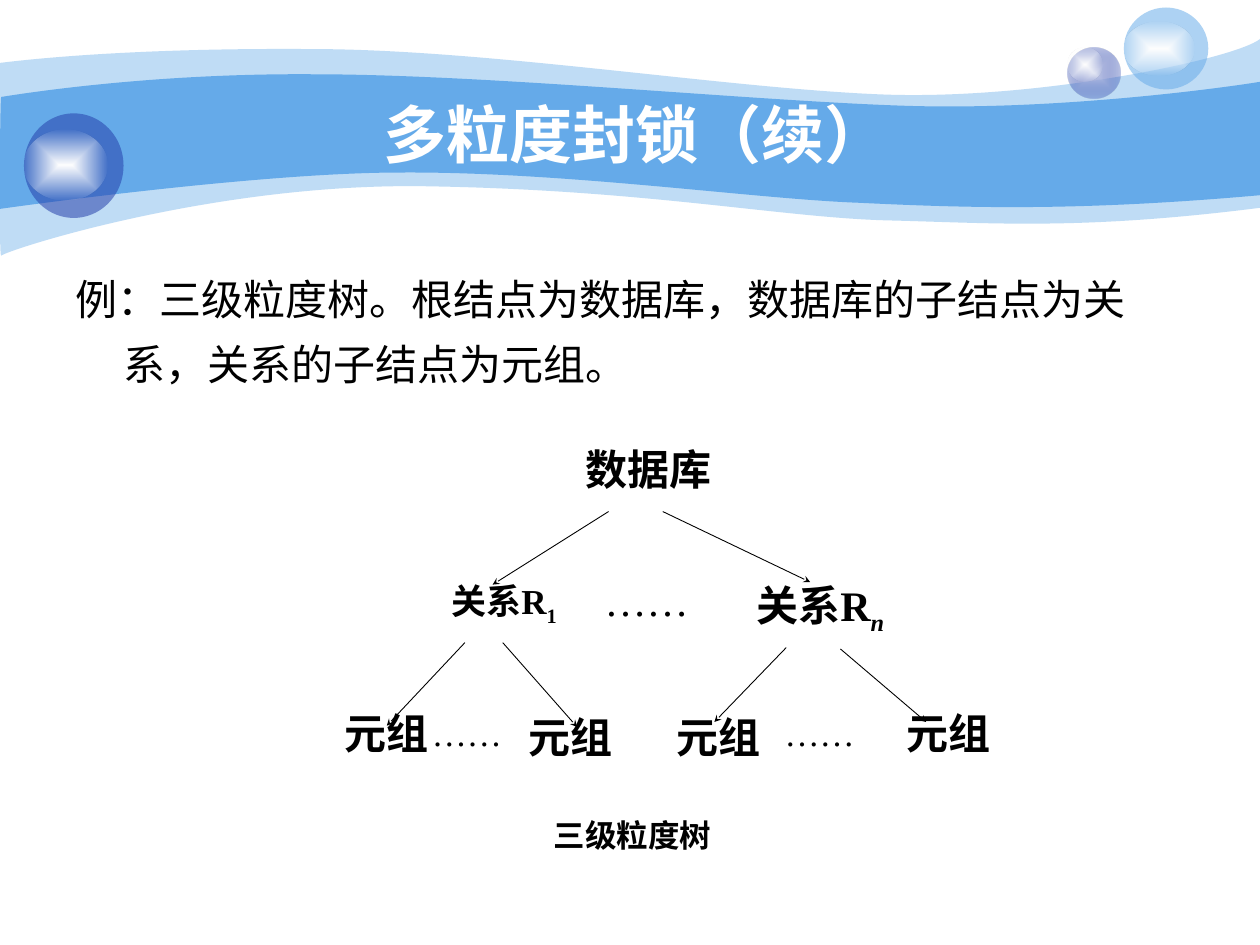
from dataclasses import dataclass

from pptx import Presentation
from pptx.dml.color import RGBColor
from pptx.enum.shapes import MSO_CONNECTOR, MSO_SHAPE
from pptx.enum.text import MSO_ANCHOR, PP_ALIGN
from pptx.oxml import parse_xml
from pptx.oxml.ns import nsdecls, qn
from pptx.oxml.xmlchemy import OxmlElement
from pptx.util import Inches, Pt

LEFT, CENTER = PP_ALIGN.LEFT, PP_ALIGN.CENTER
MIDDLE, TOP = MSO_ANCHOR.MIDDLE, MSO_ANCHOR.TOP
STRAIGHT = MSO_CONNECTOR.STRAIGHT
OVAL = MSO_SHAPE.OVAL
COLORS = {"sky": "65AAE9", "navy": "233DA9", "lilac": "C7CEE9",
          "white": "FFFFFF", "black": "000000"}
SERIF, SANS = "Times New Roman", "Arial"

Point = tuple[float, float]
Box = tuple[float, float, float, float]


@dataclass
class Wave:
    start: Point
    upper: list[Point]
    right: Point
    lower: list[Point]
    opacity: int


@dataclass
class Stop:
    color: str
    opacity: int = 100


@dataclass
class Bubble:
    box: Box
    stops: list[Stop]


@dataclass
class Label:
    text: str
    box: Box
    size: int = 24
    bold: bool = True
    sub: str = ""
    sub_italic: bool = False
    align: PP_ALIGN = CENTER
    spacing: float = 0.96
    indent: float = 0
    wrap: bool = True


@dataclass
class Branch:
    start: Point
    end: Point


WAVES = [
    Wave((0, 0.5),
         [(0.24, 0.47), (1.07, 0.38), (2.47, 0.39), (3.86, 0.39), (5.75, 0.7),
          (6.99, 0.75), (8.22, 0.8), (9.8, 0.47), (10, 0.31)],
         (10, 1.65),
         [(8.58, 1.83), (7.87, 1.77), (7.05, 1.75), (6.22, 1.73), (5.15, 1.51),
          (3.43, 1.48), (1.72, 1.44), (0.04, 1.99), (0.01, 2.03), (-0.01, 2.08),
          (0, 0.75), (0, 0.5)], 41),
    Wave((0.01, 0.77),
         [(0.02, 0.77), (1.1, 0.58), (2.48, 0.59), (3.86, 0.59), (5.95, 0.8),
          (7.18, 0.84), (8.41, 0.88), (9.76, 0.69), (10, 0.65)],
         (10, 1.55),
         [(8.53, 1.68), (7.65, 1.65), (6.82, 1.61), (5.99, 1.58), (4.47, 1.36),
          (3.17, 1.37), (2.03, 1.37), (-0.02, 1.66), (-0.01, 1.66), (0, 1.66),
          (0, 0.77), (0.01, 0.77)], 100),
]
SHINE = [Stop("white"), Stop("white", 0)]
BUBBLES = [
    Bubble((8.47, 0.38, 0.42, 0.4), [Stop("lilac"), Stop("navy", 31)]),
    Bubble((8.47, 0.38, 0.28, 0.27), SHINE),
    Bubble((8.92, 0.06, 0.67, 0.65), [Stop("sky", 53)]),
    Bubble((8.92, 0.17, 0.56, 0.43), SHINE),
    Bubble((0.19, 0.9, 0.79, 0.83), [Stop("navy", 53)]),
    Bubble((0.19, 1.03, 0.66, 0.56), SHINE),
]
BRANCHES = [
    Branch((4.83, 4.06), (3.91, 4.64)), Branch((5.26, 4.06), (6.43, 4.62)),
    Branch((3.69, 5.1), (3.07, 5.76)), Branch((3.99, 5.1), (4.58, 5.77)),
    Branch((6.24, 5.14), (5.67, 5.73)), Branch((6.67, 5.15), (7.35, 5.73)),
]
LABELS = [
    Label("数据库", (4.43, 3.5, 1.44, 0.64)),
    Label("关系R", (5.78, 4.55, 1.46, 0.57), sub="n", sub_italic=True),
    Label("关系R", (3.16, 4.55, 1.68, 0.91), size=20, sub="1"),
    Label("元组", (2.5, 5.59, 1.14, 0.59)),
    Label("元组", (6.81, 5.59, 1.44, 0.66)),
    Label("元组", (3.96, 5.62, 1.14, 0.59)),
    Label("元组", (5.13, 5.62, 1.14, 0.59)),
    Label("……", (4.7, 4.57, 1.46, 0.48), bold=False, align=LEFT, spacing=0.86),
    Label("……", (5.95, 5.62, 1.46, 0.66), size=20, bold=False, align=LEFT, indent=0.18),
    Label("……", (3.21, 5.62, 1.46, 0.48), size=20, bold=False, align=LEFT, indent=0.12),
    Label("三级粒度树", (3.92, 6.43, 2.2, 0.4), size=18, spacing=1.0, wrap=False),
]


def fill_xml(stops: list[Stop]):
    colors = [f'<a:srgbClr val="{COLORS[stop.color]}"><a:alpha val="{stop.opacity * 1000}"/>'
              "</a:srgbClr>" for stop in stops]
    if len(colors) == 1:
        return parse_xml(f'<a:solidFill {nsdecls("a")}>{colors[0]}</a:solidFill>')
    marks = "".join(f'<a:gs pos="{i * 100000}">{c}</a:gs>' for i, c in enumerate(colors))
    return parse_xml(
        f'<a:gradFill {nsdecls("a")} rotWithShape="1"><a:gsLst>{marks}</a:gsLst>'
        '<a:path path="rect"><a:fillToRect l="50000" t="50000" r="50000" b="50000"/>'
        "</a:path></a:gradFill>")


def paint(shape, stops: list[Stop]) -> None:
    shape.shadow.inherit = False
    shape.line.fill.background()
    shape.fill.background()
    sp_pr = shape._element.spPr
    sp_pr.replace(sp_pr.find(qn("a:noFill")), fill_xml(stops))


def bend(segments: list) -> None:
    for i in range(0, len(segments), 3):
        curve = OxmlElement("a:cubicBezTo")
        segments[i].addprevious(curve)
        for segment in segments[i:i + 3]:
            curve.append(segment[0])
            segment.getparent().remove(segment)


def add_wave(slide, wave: Wave) -> None:
    points = wave.upper + [wave.right] + wave.lower
    builder = slide.shapes.build_freeform(*map(Inches, wave.start))
    builder.add_line_segments([(Inches(x), Inches(y)) for x, y in points], close=True)
    shape = builder.convert_to_shape()
    segments = list(shape._element.iter(qn("a:lnTo")))
    edge = len(wave.upper)
    bend(segments[:edge])
    bend(segments[edge + 1:edge + 1 + len(wave.lower)])
    paint(shape, [Stop("sky", wave.opacity)])


def add_bubble(slide, bubble: Bubble) -> None:
    paint(slide.shapes.add_shape(OVAL, *map(Inches, bubble.box)), bubble.stops)


def add_branch(slide, branch: Branch) -> None:
    line = slide.shapes.add_connector(STRAIGHT, *map(Inches, branch.start + branch.end))
    line.line.width = Pt(0.5)
    line.line.color.rgb = RGBColor.from_string(COLORS["black"])
    tail = OxmlElement("a:tailEnd")
    for key, value in (("type", "stealth"), ("w", "sm"), ("len", "sm")):
        tail.set(key, value)
    line.line._get_or_add_ln().append(tail)
    line._element.spPr.append(OxmlElement("a:effectLst"))


def style_run(r, font: str, size: int, color: str, bold: bool) -> None:
    r.font.name = font
    r.font.size = Pt(size)
    r.font.bold = bold
    r.font.color.rgb = RGBColor.from_string(COLORS[color])


def add_label(slide, label: Label) -> None:
    tf = slide.shapes.add_textbox(*map(Inches, label.box)).text_frame
    tf.word_wrap = label.wrap
    tf.text = label.text
    p = tf.paragraphs[0]
    p.alignment = label.align
    p.line_spacing = label.spacing
    if label.indent:
        p._p.get_or_add_pPr().set("marL", str(Inches(label.indent)))
    if label.sub:
        r = p.add_run()
        r.text = label.sub
        r.font.italic = label.sub_italic
        r.font._element.set("baseline", "-25000")
    for r in p.runs:
        style_run(r, SERIF, label.size, "black", label.bold)


def add_title(slide, text: str) -> None:
    title = slide.shapes.title
    title.left, title.top, title.width, title.height = map(Inches, (1, 0.75, 8.08, 0.62))
    slide.shapes._spTree.append(title._element)
    tf = title.text_frame
    tf.text = text
    tf.vertical_anchor = MIDDLE
    tf.paragraphs[0].alignment = CENTER
    style_run(tf.paragraphs[0].runs[0], SANS, 36, "white", True)


def add_example(slide, text: str) -> None:
    tf = slide.shapes.add_textbox(*map(Inches, (0.5, 2, 9, 4.92))).text_frame
    tf.word_wrap = True
    tf.vertical_anchor = TOP
    tf.text = text
    p = tf.paragraphs[0]
    p.line_spacing = 1.3
    p_pr = p._p.get_or_add_pPr()
    p_pr.set("marL", str(Inches(0.38)))
    p_pr.set("indent", str(-Inches(0.38)))
    p_pr.set("hangingPunct", "0")
    style_run(p.runs[0], SANS, 24, "black", False)


def main() -> None:
    prs = Presentation()
    prs.slide_width, prs.slide_height = Inches(10), Inches(7.5)
    s = prs.slides.add_slide(prs.slide_layouts[5])
    for wave in WAVES:
        add_wave(s, wave)
    for bubble in BUBBLES:
        add_bubble(s, bubble)
    add_title(s, "多粒度封锁（续）")
    add_example(s, "例：三级粒度树。根结点为数据库，数据库的子结点为关系，关系的子结点为元组。")
    for branch in BRANCHES:
        add_branch(s, branch)
    for label in LABELS:
        add_label(s, label)
    prs.save("out.pptx")


if __name__ == "__main__":
    main()
